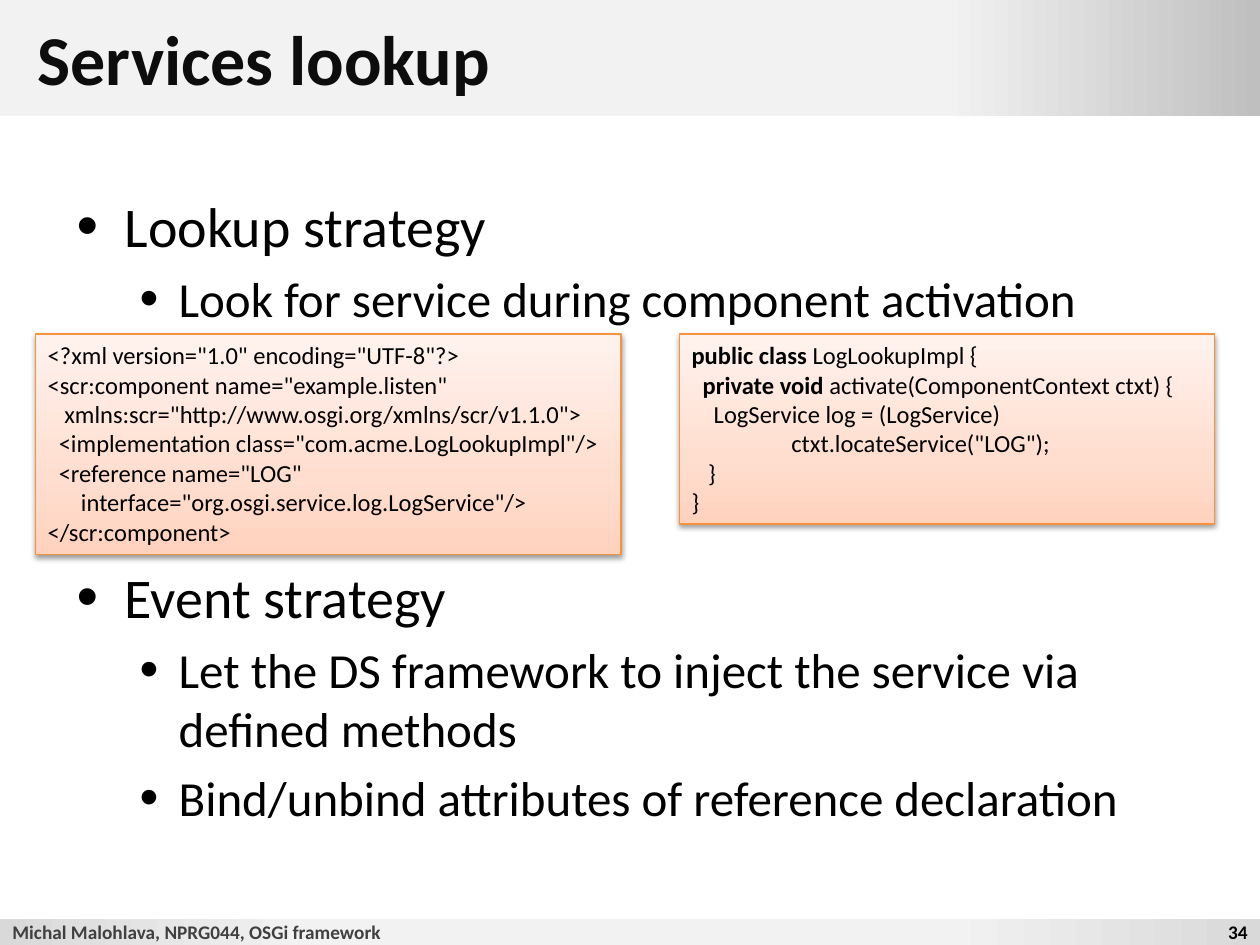
from dataclasses import dataclass

from lxml import etree
from pptx import Presentation
from pptx.dml.color import RGBColor
from pptx.enum.shapes import MSO_SHAPE
from pptx.enum.text import MSO_ANCHOR, PP_ALIGN
from pptx.oxml.ns import qn
from pptx.util import Inches, Pt

RECTANGLE = MSO_SHAPE.RECTANGLE
TOP, MIDDLE = MSO_ANCHOR.TOP, MSO_ANCHOR.MIDDLE
LEFT, RIGHT = PP_ALIGN.LEFT, PP_ALIGN.RIGHT

FONT = "Calibri"
SPACE = 0.044  # inches per code indent column at 14 pt
COLORS = {
    "black": "000000", "title": "0D0D0D", "footer": "404040",
    "pale": "F2F2F2", "silver": "D9D9D9", "gray": "BFBFBF",
    "peach_dark": "FFD2BD", "peach": "FFDED0", "peach_light": "FFF2ED",
    "orange": "F69240",
}
BAND_HEIGHT, FOOTER_TOP, FOOTER_HEIGHT = 0.92, 7.29, 0.21


@dataclass
class Bullet:
    """One bulleted line; before is the space above it in points."""
    text: str
    level: int = 0
    before: float = 5.6


@dataclass
class CodeLine:
    """One line of code; columns is its indent, keyword its bold start."""
    text: str
    columns: int = 0
    keyword: str = ""


@dataclass
class CodePanel:
    """A panel with code, measured in inches."""
    left: float
    width: float
    height: float
    lines: list[CodeLine]


BULLETS = [
    Bullet("Lookup strategy"),
    Bullet("Look for service during component activation", 1),
    Bullet("Event strategy", before=134.5),
    Bullet("Let the DS framework to inject the service via defined methods", 1),
    Bullet("Bind/unbind attributes of reference declaration", 1),
]
LEVELS = [(32, 0.38, -0.38), (28, 0.81, -0.31)]  # size, margin, first line

PANELS = [
    CodePanel(0.28, 4.65, 1.75, [
        CodeLine('<?xml version="1.0" encoding="UTF-8"?>'),
        CodeLine('<scr:component name="example.listen"'),
        CodeLine('xmlns:scr="http://www.osgi.org/xmlns/scr/v1.1.0">', 3),
        CodeLine('<implementation class="com.acme.LogLookupImpl"/>', 2),
        CodeLine('<reference name="LOG"', 2),
        CodeLine('interface="org.osgi.service.log.LogService"/>', 6),
        CodeLine("</scr:component>"),
    ]),
    CodePanel(5.39, 4.25, 1.51, [
        CodeLine("LogLookupImpl {", keyword="public class "),
        CodeLine("activate(ComponentContext ctxt) {", 2, "private void "),
        CodeLine("LogService log = (LogService)", 4),
        CodeLine('ctxt.locateService("LOG");', 18),
        CodeLine("}", 3),
        CodeLine("}"),
    ]),
]


def add_span(para, text: str, *, size: float, color: str = "black", bold: bool = False):
    """Append formatted text to a paragraph."""
    span = para.add_run()
    span.text = text
    font = span.font
    font.name, font.size, font.bold = FONT, Pt(size), bold
    font.color.rgb = RGBColor.from_string(COLORS[color])


def next_para(frame, index: int):
    """Return the first paragraph, or a new one after it."""
    return frame.paragraphs[0] if index == 0 else frame.add_paragraph()


def set_indent(para, margin: float, first: float = 0):
    """Set the left margin and first line indent in inches."""
    properties = para._p.get_or_add_pPr()
    properties.set("marL", str(Inches(margin)))
    properties.set("indent", str(Inches(first)))


def add_box(page, left: float, top: float, width: float, height: float, *,
            anchor=TOP, inset: float = 0.05):
    """Add an empty wrapping text box and return its frame."""
    box = page.shapes.add_textbox(Inches(left), Inches(top), Inches(width), Inches(height))
    frame = box.text_frame
    frame.word_wrap, frame.vertical_anchor = True, anchor
    frame.margin_top = frame.margin_bottom = Inches(inset)
    return frame


def add_label(page, text: str, area: tuple, *, align=LEFT, **style):
    """Add a single line of text, centred vertically in its area."""
    frame = add_box(page, *area, anchor=MIDDLE, inset=0)
    frame.paragraphs[0].alignment = align
    add_span(frame.paragraphs[0], text, bold=True, **style)


def add_gradient_panel(page, area: tuple, stops: list[tuple[int, str]], angle: float = 0):
    """Add a borderless rectangle with a linear gradient."""
    panel = page.shapes.add_shape(RECTANGLE, *(Inches(value) for value in area))
    panel.shadow.inherit = False
    panel.line.fill.background()
    panel.fill.gradient()
    panel.fill.gradient_angle = angle
    stop_list = panel._element.spPr.find(".//" + qn("a:gsLst"))
    for stop in list(stop_list):
        stop_list.remove(stop)
    for position, color in stops:
        stop = etree.SubElement(stop_list, qn("a:gs"), pos=str(position * 1000))
        etree.SubElement(stop, qn("a:srgbClr"), val=COLORS[color])
    return panel


def add_soft_shadow(shape):
    """Give a shape a blurred shadow straight below it."""
    effects = shape._element.spPr.find(qn("a:effectLst"))
    shadow = etree.SubElement(effects, qn("a:outerShdw"), blurRad=str(Pt(3.1)),
                              dist=str(Pt(1.6)), dir="5400000", rotWithShape="0")
    color = etree.SubElement(shadow, qn("a:srgbClr"), val=COLORS["black"])
    etree.SubElement(color, qn("a:alpha"), val="38000")


def add_bullets(page, bullets: list[Bullet]):
    """Add the two-level bulleted list."""
    frame = add_box(page, 0.51, 1.47, 8.98, 5.51)
    for index, bullet in enumerate(bullets):
        size, margin, first = LEVELS[bullet.level]
        para = next_para(frame, index)
        para.level = bullet.level
        para.space_before = Pt(bullet.before if index else 0)
        set_indent(para, margin, first)
        properties = para._p.get_or_add_pPr()
        etree.SubElement(properties, qn("a:buSzPct"), val="110000")
        etree.SubElement(properties, qn("a:buFont"), typeface="Arial")
        etree.SubElement(properties, qn("a:buChar"), char="•")
        add_span(para, bullet.text, size=size)


def add_code(page, code: CodePanel):
    """Add a peach panel holding lines of code."""
    panel = add_gradient_panel(
        page, (code.left, 2.65, code.width, code.height),
        [(0, "peach_dark"), (35, "peach"), (100, "peach_light")], angle=90)
    panel.line.color.rgb = RGBColor.from_string(COLORS["orange"])
    panel.line.width = Pt(0.75)
    add_soft_shadow(panel)
    frame = panel.text_frame
    frame.word_wrap, frame.vertical_anchor = True, TOP
    for index, line in enumerate(code.lines):
        para = next_para(frame, index)
        para.alignment = LEFT
        set_indent(para, line.columns * SPACE)
        if line.keyword:
            add_span(para, line.keyword, size=14, bold=True)
        add_span(para, line.text, size=14)


def build():
    """Build and save the slide."""
    deck = Presentation()
    deck.slide_width, deck.slide_height = Inches(10), Inches(7.5)
    page = deck.slides.add_slide(deck.slide_layouts[6])
    add_gradient_panel(page, (0, 0, 10, BAND_HEIGHT), [(75, "pale"), (100, "gray")])
    add_gradient_panel(page, (0, FOOTER_TOP, 10, FOOTER_HEIGHT),
                       [(0, "silver"), (25, "pale"), (75, "pale"), (100, "silver")])
    add_label(page, "Services lookup", (0.2, 0, 9.61, BAND_HEIGHT), size=40, color="title")
    add_label(page, "Michal Malohlava, NPRG044, OSGi framework",
              (0, FOOTER_TOP, 9.41, FOOTER_HEIGHT), size=11, color="footer")
    add_label(page, "34", (9.49, FOOTER_TOP, 0.51, FOOTER_HEIGHT), size=11, align=RIGHT)
    add_bullets(page, BULLETS)
    for code in PANELS:
        add_code(page, code)
    deck.save("out.pptx")


build()
